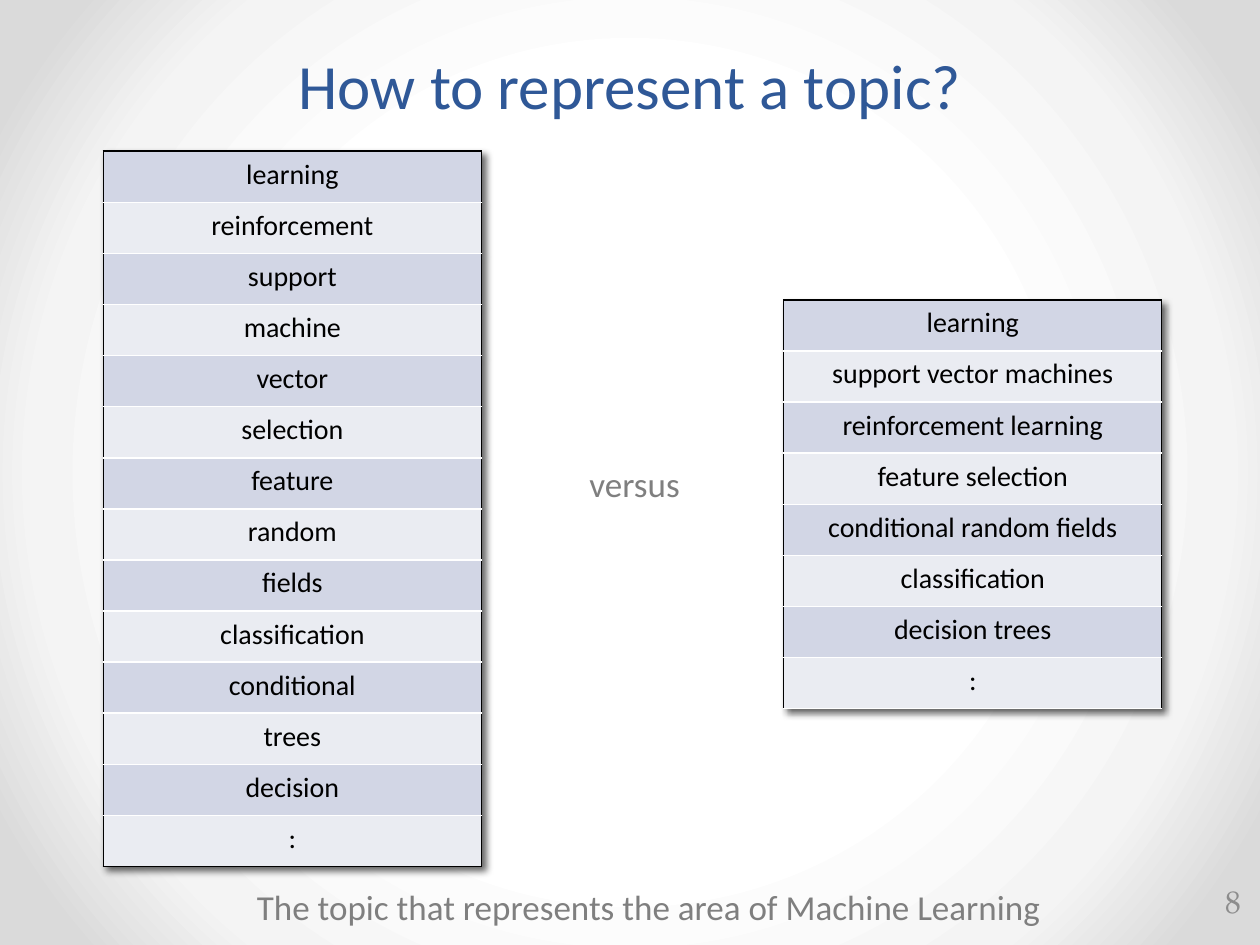
from lxml.etree import SubElement
from pptx import Presentation
from pptx.dml.color import RGBColor
from pptx.enum.text import MSO_ANCHOR, PP_ALIGN
from pptx.oxml import parse_xml
from pptx.oxml.ns import nsdecls, qn
from pptx.util import Inches, Pt

THEME = {
    "font": "Calibri", "number_font": "TeX Gyre Pagella",
    "title": "2F5897", "muted": "7F7F7F", "number": "8C8C8C", "ink": "000000",
    "rule": "FFFFFF", "bands": ("D2D6E5", "EAECF2"),
    "background": ((0, "FFFFFF"), (50, "FFFFFF"), (76, "F4F4F4"), (92, "DADADA"), (100, "DADADA")),
    "title_size": 36, "note_size": 20, "number_size": 18, "cell_size": 16,
}

deck = Presentation()
deck.slide_width, deck.slide_height = Inches(10), Inches(7.5)
slide = deck.slides.add_slide(deck.slide_layouts[6])


def place(left, top, width, height):
    """Turn percentages of the slide's width and height into lengths."""
    across, down = deck.slide_width / 100, deck.slide_height / 100
    return [int(share * unit) for share, unit in
            zip((left, top, width, height), (across, down, across, down))]


def write(paragraph, words, size, color, align, font=THEME["font"]):
    paragraph.text, paragraph.alignment = words, align
    for attribute, value in {"name": font, "size": Pt(size)}.items():
        setattr(paragraph.font, attribute, value)
    paragraph.font.color.rgb = RGBColor.from_string(color)


# Background: white centre fading to grey corners
slide.background.fill.solid()
backdrop = slide.element.find(".//" + qn("p:bgPr"))
stops = "".join(f'<a:gs pos="{share * 1000}"><a:srgbClr val="{color}"/></a:gs>'
                for share, color in THEME["background"])
backdrop.replace(backdrop[0], parse_xml(
    f'<a:gradFill {nsdecls("a")} rotWithShape="1"><a:gsLst>{stops}</a:gsLst><a:path path="circle">'
    '<a:fillToRect l="50000" t="50000" r="50000" b="50000"/></a:path></a:gradFill>'))

# Title, caption, link word and slide number
texts = [
    ("How to represent a topic?", (5, 0, 90, 13.6), MSO_ANCHOR.BOTTOM,
     (THEME["title_size"], THEME["title"], PP_ALIGN.CENTER)),
    ("The topic that represents the area of Machine Learning", (19.4, 93.07, 71.1, 6.8), MSO_ANCHOR.TOP,
     (THEME["note_size"], THEME["muted"], PP_ALIGN.LEFT)),
    ("versus", (45.8, 48.27, 10.4, 6.8), MSO_ANCHOR.TOP,
     (THEME["note_size"], THEME["muted"], PP_ALIGN.LEFT)),
    ("8", (93.4, 92.67, 6.1, 5.33), MSO_ANCHOR.MIDDLE,
     (THEME["number_size"], THEME["number"], PP_ALIGN.RIGHT, THEME["number_font"])),
]
for words, area, anchor, style in texts:
    frame = slide.shapes.add_textbox(*place(*area)).text_frame
    frame.word_wrap, frame.vertical_anchor = True, anchor
    write(frame.paragraphs[0], words, *style)
    if anchor == MSO_ANCHOR.BOTTOM:
        frame.paragraphs[0].line_spacing = Pt(58)

# Topic as single words versus topic as phrases
single_words = ["learning", "reinforcement", "support", "machine", "vector", "selection", "feature",
                "random", "fields", "classification", "conditional", "trees", "decision", ":"]
phrases = ["learning", "support vector machines", "reinforcement learning", "feature selection",
           "conditional random fields", "classification", "decision trees", ":"]
ROW = 5.41
topics = [(single_words, 8.2, 16, THEME["ink"]), (phrases, 62.2, 31.73, THEME["rule"])]
for terms, left, top, last_rule in topics:
    topic = slide.shapes.add_table(len(terms), 1, *place(left, top, 30, ROW * len(terms))).table
    topic.first_row = topic.horz_banding = False
    shadow = parse_xml(
        f'<a:effectLst {nsdecls("a")}><a:outerShdw blurRad="50800" dist="38100" dir="2700000" algn="tl" '
        'rotWithShape="0"><a:srgbClr val="000000"><a:alpha val="60000"/></a:srgbClr>'
        '</a:outerShdw></a:effectLst>')
    topic._tbl.tblPr.insert(0, shadow)
    for index, term in enumerate(terms):
        cell = topic.cell(index, 0)
        write(cell.text_frame.paragraphs[0], term, THEME["cell_size"], THEME["ink"], PP_ALIGN.CENTER)
        # Black outer edges, white rules between the rows
        edges = {"lnL": THEME["ink"], "lnR": THEME["ink"],
                 "lnT": THEME["ink"] if index == 0 else THEME["rule"],
                 "lnB": last_rule if index == len(terms) - 1 else THEME["rule"]}
        for edge, color in edges.items():
            line = SubElement(cell._tc.get_or_add_tcPr(), qn("a:" + edge), w=str(Pt(1)))
            SubElement(SubElement(line, qn("a:solidFill")), qn("a:srgbClr"), val=color)
        cell.fill.solid()
        cell.fill.fore_color.rgb = RGBColor.from_string(THEME["bands"][index % 2])

deck.save("out.pptx")
